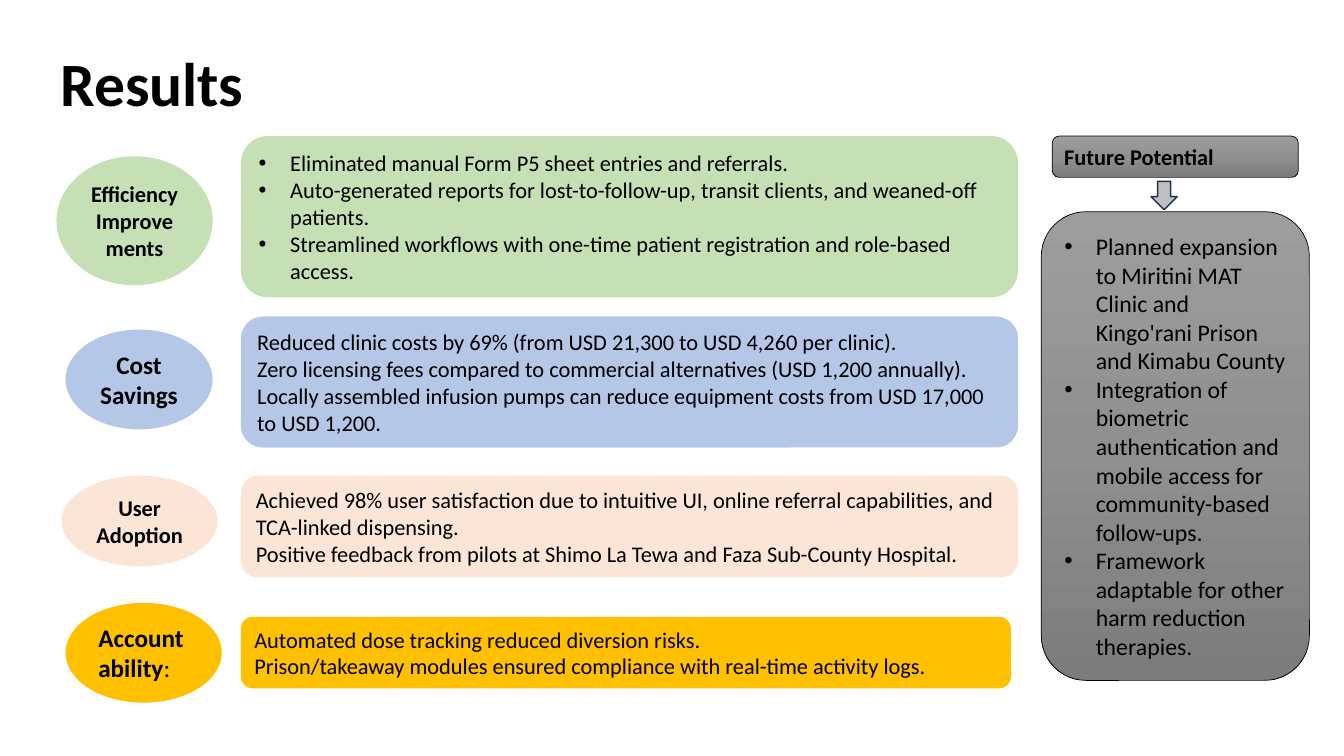
"""Build the Results slide: four outcome rows and a future potential column."""
from copy import deepcopy
from dataclasses import dataclass

from lxml.etree import SubElement
from pptx import Presentation
from pptx.dml.color import RGBColor as RGB
from pptx.enum.shapes import MSO_SHAPE as SHAPE
from pptx.enum.text import MSO_ANCHOR as ANCHOR, MSO_AUTO_SIZE as AUTO, PP_ALIGN as ALIGN
from pptx.oxml.ns import qn
from pptx.util import Pt


@dataclass(frozen=True)
class Theme:
    font: str = "Calibri"
    ink: str = "000000"
    green: str = "C5E0B4"
    blue: str = "B4C7E7"
    peach: str = "FBE5D6"
    gold: str = "FFC000"
    greys: tuple = ("9D9D9D", "909090", "7C7C7C")
    arrow: str = "BFBFBF"
    arrow_line: str = "1E3256"
    title: float = 44
    large: float = 18
    future: float = 17
    body: float = 16


T = Theme()


def write(tf, paragraphs, size=T.body, bold=False, align=ALIGN.LEFT, bullet=False,
          spacing=None, auto=AUTO.SHAPE_TO_FIT_TEXT):
    tf.word_wrap = True
    tf.auto_size = auto
    tf.vertical_anchor = ANCHOR.MIDDLE
    for i, text in enumerate(paragraphs):
        p = tf.paragraphs[0] if i == 0 else tf.add_paragraph()
        p.alignment = align
        p.line_spacing = spacing
        if bullet:
            pPr = p._p.get_or_add_pPr()
            pPr.set("marL", str(Pt(22.5)))
            pPr.set("indent", str(-Pt(22.5)))
            SubElement(pPr, qn("a:buFont"), typeface="Arial")
            SubElement(pPr, qn("a:buChar"), char="•")
        head, colon, _ = text.partition(":") if bold else (text, "", "")
        for part, heavy in ((head, bold), (colon, False)):
            if part:
                r = p.add_run()
                r.text = part
                r.font.name, r.font.size, r.font.bold = T.font, Pt(size), heavy
                r.font.color.rgb = RGB.from_string(T.ink)


def add_box(kind, at, fill, line=None, width=0.5):
    sp = s.shapes.add_shape(kind, *map(Pt, at))
    sp.shadow.inherit = False
    if isinstance(fill, tuple):
        sp.fill.gradient()
        sp.fill.gradient_angle = 270
        first = sp.fill.gradient_stops[0]._gs
        middle = deepcopy(first)
        middle.set("pos", "50000")
        first.addnext(middle)
        for stop, color in zip(sp.fill.gradient_stops, fill):
            stop.color.rgb = RGB.from_string(color)
    else:
        sp.fill.solid()
        sp.fill.fore_color.rgb = RGB.from_string(fill)
    if line:
        sp.line.color.rgb = RGB.from_string(line)
        sp.line.width = Pt(width)
    else:
        sp.line.fill.background()
    return sp


prs = Presentation()
prs.slide_width, prs.slide_height = Pt(960), Pt(540)
s = prs.slides.add_slide(prs.slide_layouts[6])

title = s.shapes.add_textbox(Pt(36), Pt(32.4), Pt(828), Pt(58.3))
write(title.text_frame, ["Results"], size=T.title, bold=True, spacing=0.9, auto=AUTO.NONE)

rows = [
    ("Efficiency Improvements", T.green, T.body, ALIGN.CENTER, True,
     (40.3, 111.6, 111.6, 92.2), (97.2, 555.1, 115.2),
     ["Eliminated manual Form P5 sheet entries and referrals.",
      "Auto-generated reports for lost-to-follow-up, transit clients, and weaned-off patients.",
      "Streamlined workflows with one-time patient registration and role-based access."]),
    ("Cost Savings", T.blue, T.large, ALIGN.CENTER, False,
     (46.8, 235.4, 105.1, 71.3), (226.1, 555.1, 93.6),
     ["Reduced clinic costs by 69% (from USD 21,300 to USD 4,260 per clinic).",
      "Zero licensing fees compared to commercial alternatives (USD 1,200 annually).",
      "Locally assembled infusion pumps can reduce equipment costs from USD 17,000 to USD 1,200."]),
    ("User Adoption", T.peach, T.body, ALIGN.CENTER, False,
     (43.9, 339.8, 111.6, 64.8), (339.8, 555.1, 72.7),
     ["Achieved 98% user satisfaction due to intuitive UI, online referral capabilities, "
      "and TCA-linked dispensing.",
      "Positive feedback from pilots at Shimo La Tewa and Faza Sub-County Hospital."]),
    ("Accountability:", T.gold, T.large, ALIGN.LEFT, False,
     (46.8, 430.6, 111.6, 71.3), (440.6, 550.1, 51.1),
     ["Automated dose tracking reduced diversion risks.",
      "Prison/takeaway modules ensured compliance with real-time activity logs."]),
]
for label, color, size, align, bullet, oval_at, (top, width, height), results in rows:
    oval = add_box(SHAPE.FLOWCHART_CONNECTOR, oval_at, color)
    write(oval.text_frame, [label], size=size, bold=True, align=align)
    panel = add_box(SHAPE.ROUNDED_RECTANGLE, (172.1, top, width, height), color)
    write(panel.text_frame, results, bullet=bullet)

header = add_box(SHAPE.ROUNDED_RECTANGLE, (751.7, 97.2, 175.7, 29.5), T.greys, T.ink)
write(header.text_frame, ["Future Potential"], bold=True)
plans = add_box(SHAPE.ROUNDED_RECTANGLE, (743.8, 151.2, 191.5, 334.8), T.greys, T.ink)
write(plans.text_frame, [
    "Planned expansion to Miritini MAT Clinic and Kingo'rani Prison and Kimabu County",
    "Integration of biometric authentication and mobile access for community-based follow-ups.",
    "Framework adaptable for other harm reduction therapies.",
], size=T.future, bullet=True)
add_box(SHAPE.DOWN_ARROW, (822.2, 129.6, 18.7, 20.2), T.arrow, T.arrow_line, 1)

prs.save("out.pptx")
